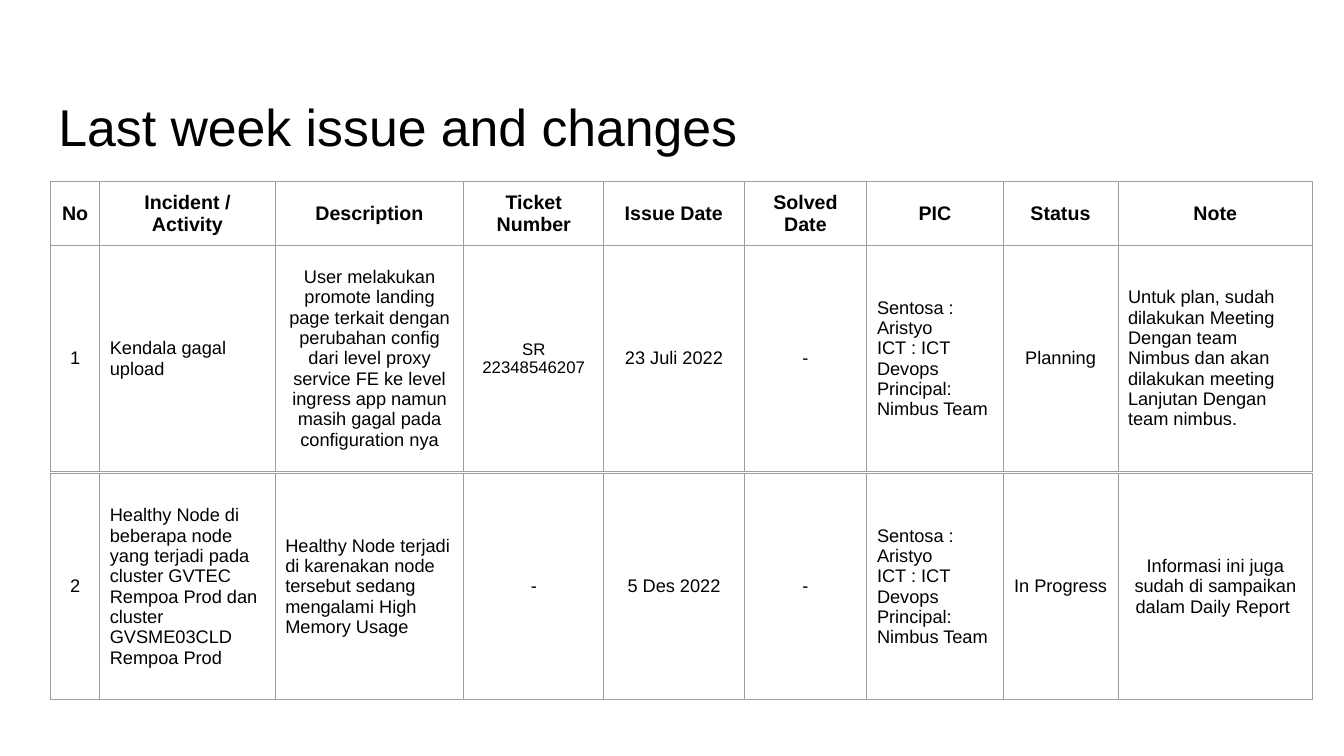
"""Build the slide of last week's issues and changes."""
from dataclasses import dataclass

from lxml import etree
from pptx import Presentation
from pptx.dml.color import RGBColor
from pptx.enum.text import MSO_ANCHOR, MSO_AUTO_SIZE, PP_ALIGN
from pptx.oxml.ns import qn
from pptx.util import Inches, Pt

LEFT, CENTER = PP_ALIGN.LEFT, PP_ALIGN.CENTER
TOP, MIDDLE = MSO_ANCHOR.TOP, MSO_ANCHOR.MIDDLE
NO_AUTOFIT = MSO_AUTO_SIZE.NONE
TITLE_ONLY = 5

COLUMN_WIDTHS = (0.49, 1.74, 1.87, 1.39, 1.39, 1.22, 1.35, 1.14, 1.93)
HEADER_HEIGHT, ISSUE_HEIGHT = 0.5, 2.24
TICKET_COLUMN = 3

HEADINGS = ("No", "Incident / Activity", "Description", "Ticket Number", "Issue Date",
            "Solved Date", "PIC", "Status", "Note")
CONTACTS = ("Sentosa : Aristyo", "ICT : ICT Devops Principal: Nimbus Team")
UPLOAD_ISSUE = (
    "1",
    ("Kendala gagal upload",),
    "User melakukan promote landing page terkait dengan perubahan config dari level proxy "
    "service FE ke level ingress app namun masih gagal pada configuration nya",
    "SR 22348546207", "23 Juli 2022", "-", CONTACTS, "Planning",
    ("Untuk plan, sudah dilakukan Meeting Dengan team Nimbus dan akan dilakukan meeting "
     "Lanjutan Dengan team nimbus.",),
)
NODE_ISSUE = (
    "2",
    ("Healthy Node di beberapa node yang terjadi pada cluster GVTEC Rempoa Prod dan cluster "
     "GVSME03CLD Rempoa Prod",),
    ("Healthy Node terjadi di karenakan node tersebut sedang mengalami High Memory Usage",),
    "-", "5 Des 2022", "-", CONTACTS, "In Progress",
    "Informasi ini juga sudah di sampaikan dalam Daily Report ",
)


@dataclass(frozen=True)
class Theme:
    """Colours, font and type sizes of the slide."""
    font: str = "Arial"
    text: str = "000000"
    border: str = "9E9E9E"
    border_width: float = 0.75
    title_size: int = 37
    header_size: int = 14
    body_size: int = 13
    ticket_size: int = 12
    title_inset: float = 0.13
    cell_inset: float = 0.1


class SlideBuilder:
    """Hold the theme and the current slide and add elements to it."""

    def __init__(self, slide, theme):
        """Keep the slide and its theme."""
        self.slide = slide
        self.theme = theme

    def add_run(self, paragraph, text, size, bold=False):
        """Add one formatted run to a paragraph."""
        run = paragraph.add_run()
        run.text = text
        run.font.name = self.theme.font
        run.font.size = Pt(size)
        run.font.bold = bold
        run.font.color.rgb = RGBColor.from_string(self.theme.text)

    def set_insets(self, holder, inset):
        """Give a cell or text frame equal margins."""
        holder.margin_left = holder.margin_right = Inches(inset)
        holder.margin_top = holder.margin_bottom = Inches(inset)

    def add_title(self, text, left, top, width, height):
        """Place and fill the title placeholder."""
        title = self.slide.shapes.title
        title.left, title.top = Inches(left), Inches(top)
        title.width, title.height = Inches(width), Inches(height)
        frame = title.text_frame
        frame.auto_size = NO_AUTOFIT
        frame.word_wrap = True
        frame.vertical_anchor = TOP
        self.set_insets(frame, self.theme.title_inset)
        paragraph = frame.paragraphs[0]
        paragraph.alignment = LEFT
        paragraph.line_spacing = 0.9
        self.add_run(paragraph, text, self.theme.title_size)

    def add_borders(self, cell):
        """Draw the four borders of a cell."""
        properties = cell._tc.get_or_add_tcPr()
        for side in ("a:lnL", "a:lnR", "a:lnT", "a:lnB"):
            line = etree.SubElement(properties, qn(side), w=str(Pt(self.theme.border_width)))
            fill = etree.SubElement(line, qn("a:solidFill"))
            etree.SubElement(fill, qn("a:srgbClr"), val=self.theme.border)

    def fill_cell(self, cell, content, size, bold):
        """Write a string centred, or a tuple as left-aligned paragraphs."""
        centred = isinstance(content, str)
        self.add_borders(cell)
        cell.fill.background()
        cell.vertical_anchor = MIDDLE
        self.set_insets(cell, self.theme.cell_inset)
        frame = cell.text_frame
        for index, text in enumerate((content,) if centred else content):
            paragraph = frame.add_paragraph() if index else frame.paragraphs[0]
            paragraph.alignment = CENTER if centred else LEFT
            self.add_run(paragraph, text, size, bold)

    def add_table(self, rows, heights, left, top):
        """Add a bordered table, with bold text in a heading row."""
        frame = self.slide.shapes.add_table(
            len(rows), len(COLUMN_WIDTHS), Inches(left), Inches(top),
            Inches(sum(COLUMN_WIDTHS)), Inches(sum(heights)))
        table = frame.table
        table.first_row = table.horz_banding = False
        for column, width in zip(table.columns, COLUMN_WIDTHS):
            column.width = Inches(width)
        for row, height, contents in zip(table.rows, heights, rows):
            row.height = Inches(height)
            heading = contents is HEADINGS
            for index, (cell, content) in enumerate(zip(row.cells, contents)):
                size = self.theme.header_size if heading else self.theme.body_size
                if index == TICKET_COLUMN and contents is UPLOAD_ISSUE:
                    size = self.theme.ticket_size
                self.fill_cell(cell, content, size, heading)


def main():
    """Create and save the presentation."""
    presentation = Presentation()
    presentation.slide_width, presentation.slide_height = Inches(13.33), Inches(7.5)
    slide = presentation.slides.add_slide(presentation.slide_layouts[TITLE_ONLY])
    builder = SlideBuilder(slide, Theme())
    builder.add_title("Last week issue and changes", 0.45, 0.88, 12.42, 0.83)
    builder.add_table((HEADINGS, UPLOAD_ISSUE), (HEADER_HEIGHT, ISSUE_HEIGHT), 0.5, 1.8)
    builder.add_table((NODE_ISSUE,), (ISSUE_HEIGHT,), 0.5, 4.7)
    presentation.save("out.pptx")


if __name__ == "__main__":
    main()
